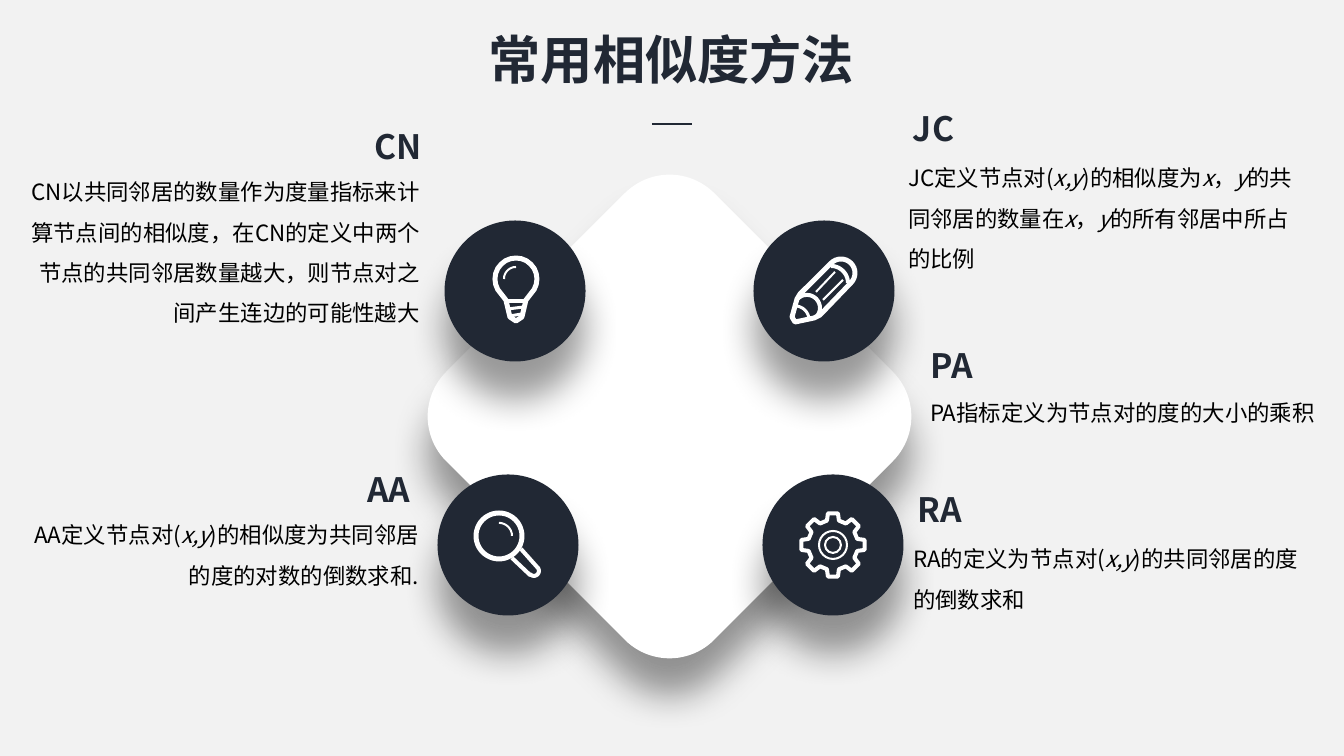
from math import cos, radians, sin

from pptx import Presentation
from pptx.dml.color import RGBColor
from pptx.enum.shapes import MSO_CONNECTOR, MSO_SHAPE
from pptx.enum.text import MSO_ANCHOR, MSO_AUTO_SIZE, PP_ALIGN
from pptx.oxml import parse_xml
from pptx.oxml.ns import nsdecls, qn
from pptx.util import Emu, Pt

OVAL, ROUNDED = MSO_SHAPE.OVAL, MSO_SHAPE.ROUNDED_RECTANGLE
LEFT, CENTER, RIGHT = PP_ALIGN.LEFT, PP_ALIGN.CENTER, PP_ALIGN.RIGHT
GROW, TOP = MSO_AUTO_SIZE.SHAPE_TO_FIT_TEXT, MSO_ANCHOR.TOP
STRAIGHT = MSO_CONNECTOR.STRAIGHT

PX = 914400 / 134.4
THEME = {
    "font": "Noto Sans CJK SC",
    "back": "F2F2F2", "card": "FFFFFF", "dark": "212834", "body": "000000",
    "title_pt": 28, "head_pt": 18, "body_pt": 12, "rule_pt": 1.5,
}

# Content: heading box, body box (left, top, width, height), alignment.
# Text between asterisks is italic.
TITLE = "常用相似度方法"
METHODS = [
    ("JC", (900, 101, 251, 54), "JC定义节点对(*x,y*)的相似度为*x*，*y*的共同邻居的数量在"
     "*x*，*y*的所有邻居中所占的比例", (904, 144, 399, 130), LEFT),
    ("PA", (918, 338, 263, 54), "PA指标定义为节点对的度的大小的乘积",
     (926, 379, 399, 50), LEFT),
    ("CN", (199, 119, 236, 54), "CN以共同邻居的数量作为度量指标来计算节点间的相似度，"
     "在CN的定义中两个节点的共同邻居数量越大，则节点对之间产生连边的可能性越大",
     (25, 158, 399, 172), RIGHT),
    ("AA", (187, 462, 236, 54), "AA定义节点对(*x,y*)的相似度为共同邻居的度的对数的倒数求和.",
     (24, 501, 399, 90), RIGHT),
    ("RA", (905, 482, 251, 54), "RA的定义为节点对(*x,y*)的共同邻居的度的倒数求和",
     (909, 525, 399, 90), LEFT),
]


def arc(cx, cy, r, start, end, steps=16):
    angles = [radians(start + (end - start) * i / steps) for i in range(steps + 1)]
    return [(cx + r * cos(a), cy + r * sin(a)) for a in angles]


def gear(root, tip, teeth=8):
    profile = [(-14, root), (-9, tip), (9, tip), (14, root)]
    return [(r * cos(radians(k * 360 / teeth + a)), r * sin(radians(k * 360 / teeth + a)))
            for k in range(teeth) for a, r in profile]


# Icons, in px from the disc centre: strokes (points, closed, width), rings (x, y, r, width)
BULB = {"strokes": [
    (arc(1, -12, 21, 150, 390) + [(11, 9), (7, 26), (1, 30), (-5, 26), (-9, 9)], True, 5),
    ([(-9, 10), (11, 10)], False, 4),
    ([(-7, 18), (9, 16)], False, 3),
    ([(-5, 25), (7, 23)], False, 3),
    (arc(1, -12, 12, 180, 270), False, 2)], "rings": []}
PENCIL = {"strokes": [
    (arc(17, -18, 14, 225, 405) + [(-4, 24), (-10, 27), (-29, 31), (-32, 26), (-27, 8),
                                   (-24, 3)], True, 5),
    (arc(-17, 17, 13, 225, 405), False, 4),
    (arc(-29, 29, 14, 270, 350), False, 3),
    (arc(7, -8, 17, 270, 360), False, 4),
    ([(-8, 1), (11, -19)], False, 2),
    ([(-1, 9), (19, -11)], False, 2)], "rings": []}
GEAR = {"strokes": [(gear(25, 32), True, 4)], "rings": [(0, 0, 14, 2), (0, 0, 8, 2)]}
LENS = {"strokes": [
    ([(4, 13), (22, 30)] + arc(26, 26, 5, 135, -45) + [(13, 4)], False, 4),
    (arc(-9, -9, 13, 270, 360), False, 2)], "rings": [(-9, -9, 23, 5)]}

DISC = 141
DISCS = [(824, 291, PENCIL), (515, 291, BULB), (833, 545, GEAR), (508, 545, LENS)]


def px(*values):
    return [Emu(round(v * PX)) for v in values]


def rgb(name):
    return RGBColor.from_string(THEME[name])


def add_shadow(shape):
    """Soft shadow straight below the shape."""
    shape._element.spPr.append(parse_xml(
        f'<a:effectLst {nsdecls("a")}><a:outerShdw blurRad="254000" dist="254000" '
        'dir="5400000" algn="t" rotWithShape="0"><a:srgbClr val="000000">'
        '<a:alpha val="40000"/></a:srgbClr></a:outerShdw></a:effectLst>'))


def add_solid(s, kind, box, color):
    shape = s.shapes.add_shape(kind, *px(*box))
    shape.fill.solid()
    shape.fill.fore_color.rgb = rgb(color)
    shape.line.fill.background()
    add_shadow(shape)
    return shape


def style_stroke(shape, width):
    shape.shadow.inherit = False
    shape.fill.background()
    shape.line.color.rgb = rgb("card")
    shape.line.width = Emu(round(width * PX))
    shape.line._ln.append(parse_xml(f'<a:round {nsdecls("a")}/>'))


def add_icon(s, cx, cy, icon):
    for points, closed, width in icon["strokes"]:
        tenths = [(round(x * 10), round(y * 10)) for x, y in points]
        builder = s.shapes.build_freeform(*tenths[0], scale=PX / 10)
        builder.add_line_segments(tenths[1:], close=closed)
        style_stroke(builder.convert_to_shape(*px(cx, cy)), width)
    for x, y, r, width in icon["rings"]:
        ring = s.shapes.add_shape(OVAL, *px(cx + x - r, cy + y - r, 2 * r, 2 * r))
        style_stroke(ring, width)


def write(shape, text, align, size, color, bold=False, wrap=True, inset=13, spacing=1.0):
    tf = shape.text_frame
    side, edge = px(inset, 7)
    for name, value in {"word_wrap": wrap, "auto_size": GROW, "vertical_anchor": TOP,
                        "margin_left": side, "margin_right": side,
                        "margin_top": edge, "margin_bottom": edge}.items():
        setattr(tf, name, value)
    p = tf.paragraphs[0]
    p.alignment, p.line_spacing = align, spacing
    for i, part in enumerate(text.split("*")):
        r = p.add_run()
        r.text = part
        for name, value in {"name": THEME["font"], "size": Pt(THEME[size]),
                            "bold": bold, "italic": i % 2 == 1}.items():
            setattr(r.font, name, value)
        r.font.color.rgb = rgb(color)
        r.font._element.find(qn("a:latin")).addnext(
            parse_xml(f'<a:ea {nsdecls("a")} typeface="{THEME["font"]}"/>'))


def main():
    prs = Presentation()
    prs.slide_width, prs.slide_height = px(1344, 756)
    s = prs.slides.add_slide(prs.slide_layouts[5])
    s.background.fill.solid()
    s.background.fill.fore_color.rgb = rgb("back")

    # Title and the short rule below it
    title = s.shapes.title
    title.left, title.top, title.width, title.height = px(473, 20, 397, 77)
    write(title, TITLE, CENTER, "title_pt", "dark", bold=True, wrap=False)
    rule = s.shapes.add_connector(STRAIGHT, *px(652, 124, 692, 124))
    rule.line.color.rgb = rgb("dark")
    rule.line.width = Pt(THEME["rule_pt"])
    rule._element.spPr.append(parse_xml(f'<a:effectLst {nsdecls("a")}/>'))

    # Central diamond and icon discs
    add_solid(s, ROUNDED, (480, 227, 379, 379), "card").rotation = 45
    for cx, cy, icon in DISCS:
        add_solid(s, OVAL, (cx - DISC / 2, cy - DISC / 2, DISC, DISC), "dark")
        add_icon(s, cx, cy, icon)

    # Method headings and definitions
    for head, head_box, body, body_box, align in METHODS:
        write(s.shapes.add_textbox(*px(*head_box)), head, align, "head_pt", "dark", bold=True)
        write(s.shapes.add_textbox(*px(*body_box)), body, align, "body_pt", "body",
              inset=4, spacing=1.5)

    prs.save("out.pptx")


if __name__ == "__main__":
    main()
